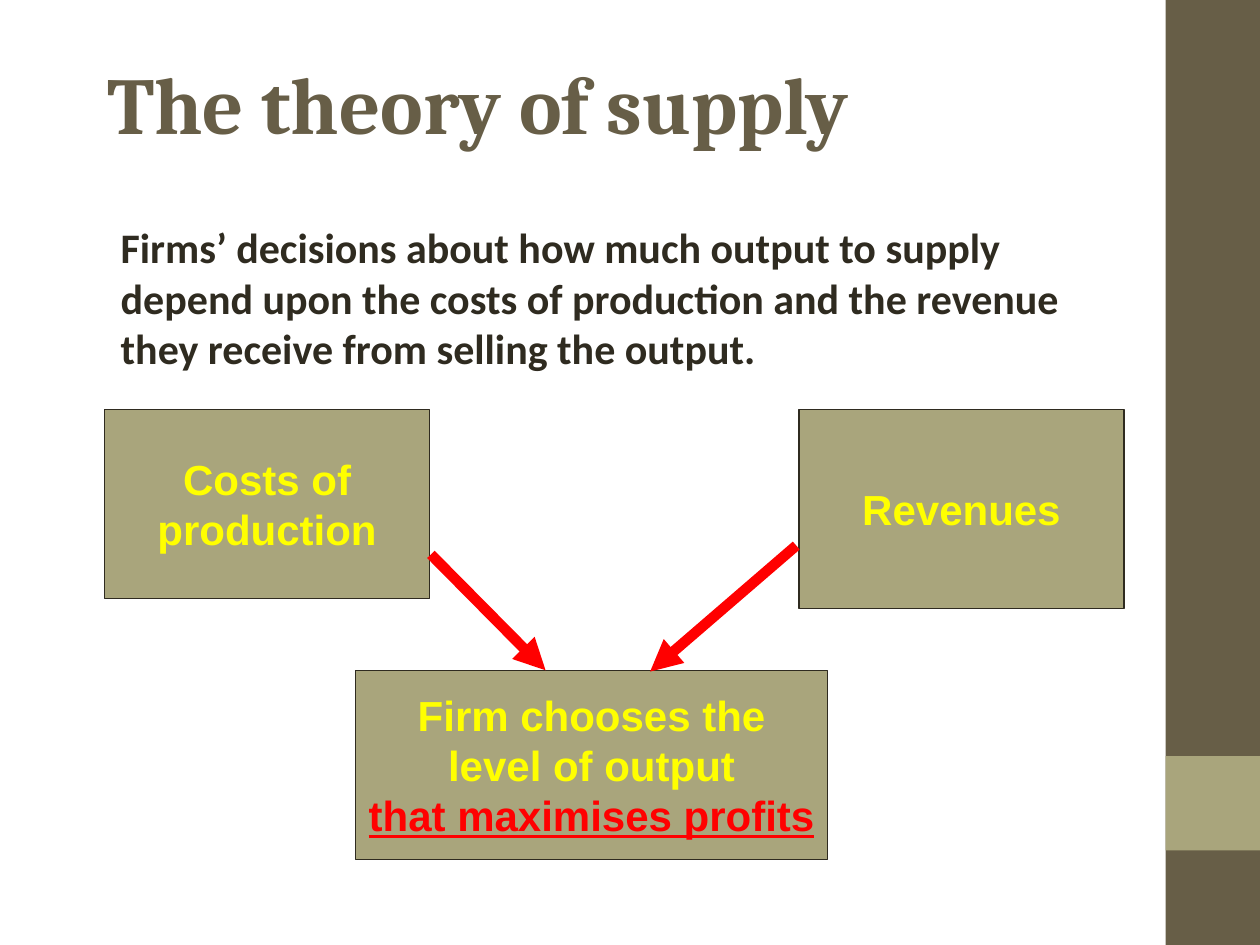
from pptx import Presentation
from pptx.dml.color import RGBColor as RGB
from pptx.enum.shapes import MSO_CONNECTOR as LINK, MSO_SHAPE as SHAPE
from pptx.enum.text import MSO_ANCHOR as ANCHOR, PP_ALIGN as ALIGN
from pptx.oxml.ns import qn
from pptx.util import Inches, Pt
from lxml.etree import SubElement

HEX = dict(brown="675E47", olive="A9A57C", dark="2F2B20", yellow="FFFF00", red="FF0000")
INK = {name: RGB.from_string(code) for name, code in HEX.items()}
WIDE, HIGH = 10, 7.5

TITLE = "The theory of supply"
INTRO = [
    "Firms’ decisions about how much output to supply",
    "depend upon the costs of production and the revenue",
    "they receive from selling the output.",
]
BANDS = [("brown", 0, HIGH), ("olive", 0.8 * HIGH, 0.1 * HIGH)]
BOXES = [
    (["Costs of", "production"], (0.83, 3.25, 2.58, 1.5)),
    (["Revenues"], (6.34, 3.25, 2.58, 1.58)),
    (["Firm chooses the", "level of output", "that maximises profits"],
     (2.82, 5.32, 3.75, 1.5)),
]
KEY = "that maximises profits"
ARROWS = [((3.42, 4.4), (4.33, 5.32)), ((6.32, 4.33), (5.16, 5.33))]


def write(frame, lines, face, size, ink, align=ALIGN.LEFT):
    for i, line in enumerate(lines):
        para = frame.add_paragraph() if i else frame.paragraphs[0]
        para.text, para.alignment = line, align
        font = para.font
        font.name, font.size, font.bold = face, Pt(size), True
        font.color.rgb = INK["red" if line == KEY else ink]
        if line == KEY:
            font.underline = True


def block(shapes, place, fill, edge=None):
    box = shapes.add_shape(SHAPE.RECTANGLE, *map(Inches, place))
    box.shadow.inherit = False
    box.fill.solid()
    box.fill.fore_color.rgb = INK[fill]
    if edge:
        box.line.color.rgb = INK[edge]
        box.line.width = Pt(0.75)
    else:
        box.line.fill.background()
    return box


def arrow(shapes, start, end):
    link = shapes.add_connector(LINK.STRAIGHT, *map(Inches, start + end))
    link.line.color.rgb = INK["red"]
    link.line.width = Pt(6)
    SubElement(link.line._get_or_add_ln(), qn("a:tailEnd"), type="triangle")
    SubElement(link._element.spPr, qn("a:effectLst"))


def main():
    deck = Presentation()
    deck.slide_width, deck.slide_height = Inches(WIDE), Inches(HIGH)
    shapes = deck.slides.add_slide(deck.slide_layouts[5]).shapes

    for fill, top, tall in BANDS:
        block(shapes, (9.25, top, 0.75, tall), fill)

    title = shapes.title
    title.left, title.top, title.width, title.height = map(Inches, (0.75, 0.21, 8.5, 1.21))
    title.text_frame.vertical_anchor = ANCHOR.MIDDLE
    write(title.text_frame, [TITLE], "Cambria", 46, "brown")

    intro = shapes.add_textbox(*map(Inches, (0.86, 1.71, 7.74, 1.3)))
    intro.text_frame.word_wrap = False
    write(intro.text_frame, INTRO, "Calibri", 24, "dark")

    for lines, place in BOXES:
        frame = block(shapes, place, "olive", "dark").text_frame
        frame.word_wrap = False
        frame.vertical_anchor = ANCHOR.MIDDLE
        write(frame, lines, "Arial", 24, "yellow", ALIGN.CENTER)

    for start, end in ARROWS:
        arrow(shapes, start, end)

    deck.save("out.pptx")


if __name__ == "__main__":
    main()
